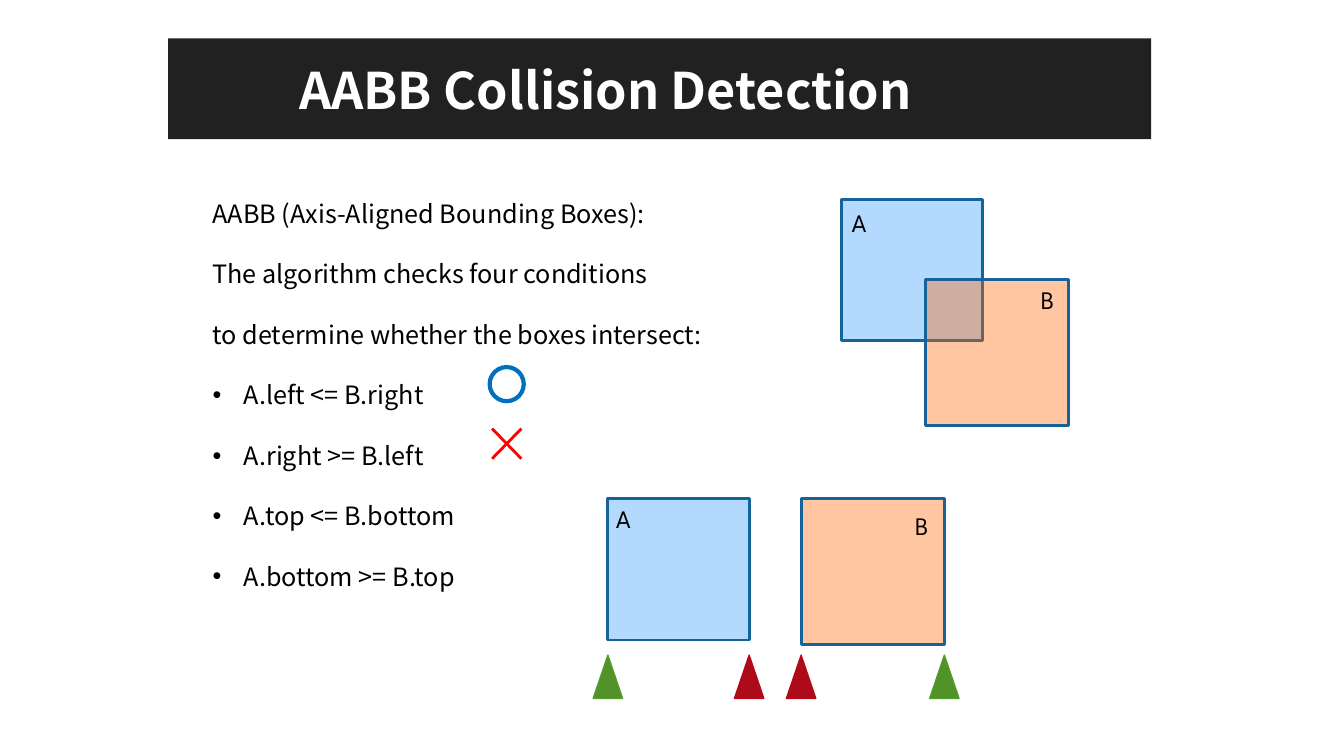
from dataclasses import dataclass

from lxml.etree import SubElement
from pptx import Presentation
from pptx.dml.color import RGBColor
from pptx.enum.shapes import MSO_CONNECTOR, MSO_SHAPE
from pptx.enum.text import MSO_ANCHOR, MSO_AUTO_SIZE, PP_ALIGN
from pptx.oxml.ns import qn
from pptx.util import Cm, Pt


@dataclass(frozen=True)
class Theme:
    body_font: str = "Noto Sans CJK SC"
    label_font: str = "League Spartan"
    title_size: int = 36
    text_size: int = 18
    banner: str = "212121"
    title: str = "FFFFFF"
    text: str = "000000"
    box_a: str = "3399FF"
    box_b: str = "FF6600"
    box_edge: str = "156398"
    box_opacity: int = 37
    outer: str = "519229"
    outer_edge: str = "549C28"
    inner: str = "AD0B1A"
    inner_edge: str = "B90718"
    hit: str = "0070C0"
    miss: str = "FF0000"


THEME = Theme()
BOX_SIZE = {"A": (3.56, 3.56), "B": (3.61, 3.68)}
BOX_FILL = {"A": THEME.box_a, "B": THEME.box_b}
INTRO = [
    ["AABB (Axis-Aligned Bounding Boxes):"],
    ["The algorithm checks four conditions", "to determine whether the boxes intersect:"],
]
CONDITIONS = ["A.left <= B.right", "A.right >= B.left", "A.top <= B.bottom", "A.bottom >= B.top"]


def add_outline(shapes, kind, box, fill=None, edge=None, weight=1, opacity=100):
    """Add a preset shape; box is left, top, width and height in centimetres."""
    shape = shapes.add_shape(kind, *map(Cm, box))
    shape.shadow.inherit = False
    if fill:
        shape.fill.solid()
        shape.fill.fore_color.rgb = RGBColor.from_string(fill)
        if opacity < 100:
            color = shape.fill._xPr.find(qn("a:solidFill"))[0]
            SubElement(color, qn("a:alpha"), val=str(opacity * 1000))
    else:
        shape.fill.background()
    if edge:
        shape.line.color.rgb = RGBColor.from_string(edge)
        shape.line.width = Pt(weight)
    else:
        shape.line.fill.background()
    return shape


def add_run(paragraph, words, font_name, size, color, bold=False):
    run = paragraph.add_run()
    run.text = words
    run.font.name = font_name
    run.font.size = Pt(size)
    run.font.bold = bold
    run.font.color.rgb = RGBColor.from_string(color)


def add_banner(shapes, box):
    banner = add_outline(shapes, MSO_SHAPE.RECTANGLE, box, THEME.banner)
    frame = banner.text_frame
    frame.word_wrap = True
    frame.vertical_anchor = MSO_ANCHOR.MIDDLE
    frame.margin_left, frame.margin_right = Cm(3.3), Cm(0.76)
    heading = frame.paragraphs[0]
    heading.alignment = PP_ALIGN.LEFT
    add_run(heading, "AABB Collision Detection", THEME.body_font,
            THEME.title_size, THEME.title, bold=True)


def add_explanation(shapes, box):
    frame = shapes.add_textbox(*map(Cm, box)).text_frame
    frame.word_wrap = True
    frame.auto_size = MSO_AUTO_SIZE.SHAPE_TO_FIT_TEXT
    entries = [(lines, False) for lines in INTRO] + [([rule], True) for rule in CONDITIONS]
    for index, (lines, bulleted) in enumerate(entries):
        paragraph = frame.add_paragraph() if index else frame.paragraphs[0]
        paragraph.line_spacing = 2.0
        if bulleted:
            properties = paragraph._p.get_or_add_pPr()
            properties.set("marL", str(Cm(0.79)))
            properties.set("indent", str(-Cm(0.79)))
            SubElement(properties, qn("a:buFont"), typeface="Arial")
            SubElement(properties, qn("a:buChar"), char="•")
        for number, line in enumerate(lines):
            if number:
                paragraph.add_line_break()
            add_run(paragraph, line, THEME.body_font, THEME.text_size, THEME.text)


def add_cross(shapes, box):
    left, top, width, height = box
    cross = shapes.add_group_shape().shapes
    for start, end in ((left, left + width), (left + width, left)):
        stroke = cross.add_connector(MSO_CONNECTOR.STRAIGHT, Cm(start), Cm(top + height),
                                     Cm(end), Cm(top))
        stroke.line.color.rgb = RGBColor.from_string(THEME.miss)
        stroke.line.width = Pt(2)
        SubElement(stroke._element.spPr, qn("a:effectLst"))


def add_bounding_box(shapes, name, left, top):
    add_outline(shapes, MSO_SHAPE.RECTANGLE, (left, top, *BOX_SIZE[name]), BOX_FILL[name],
                THEME.box_edge, 2, THEME.box_opacity)


def add_label(shapes, name, left, top):
    width = {"A": 0.99, "B": 0.89}[name]
    frame = shapes.add_textbox(Cm(left), Cm(top), Cm(width), Cm(1.02)).text_frame
    frame.word_wrap = False
    frame.auto_size = MSO_AUTO_SIZE.SHAPE_TO_FIT_TEXT
    add_run(frame.paragraphs[0], name, THEME.label_font, THEME.text_size, THEME.text)


def add_overlapping_boxes(shapes, left, top):
    add_bounding_box(shapes, "A", left, top)
    add_bounding_box(shapes, "B", left + 2.11, top + 2.01)
    add_label(shapes, "A", left, top + 0.08)
    add_label(shapes, "B", left + 4.77, top + 2.01)


def add_marked_box(shapes, name, left, top, label_offset, marker_colors):
    """Add a grouped box whose left and right edges are marked by triangles."""
    group = shapes.add_group_shape().shapes
    add_bounding_box(group, name, left, top)
    add_label(group, name, left + label_offset[0], top + label_offset[1])
    marker_width, marker_height = 0.74, 1.09
    for edge_x, colors in zip((left, left + BOX_SIZE[name][0]), marker_colors):
        marker = (edge_x - marker_width / 2, top + 3.94, marker_width, marker_height)
        add_outline(group, MSO_SHAPE.ISOSCELES_TRIANGLE, marker, *colors)


def add_separate_boxes(shapes, left, top):
    outer = (THEME.outer, THEME.outer_edge)
    inner = (THEME.inner, THEME.inner_edge)
    add_marked_box(shapes, "B", left + 4.87, top, (2.62, 0.16), (inner, outer))
    add_marked_box(shapes, "A", left, top, (-0.05, 0), (outer, inner))


def main():
    deck = Presentation()
    deck.slide_width, deck.slide_height = Cm(33.87), Cm(19.05)
    shapes = deck.slides.add_slide(deck.slide_layouts[6]).shapes
    add_overlapping_boxes(shapes, 21.21, 5.03)
    add_separate_boxes(shapes, 15.32, 12.57)
    add_explanation(shapes, (5.11, 4.11, 13.54, 10.8))
    add_outline(shapes, MSO_SHAPE.OVAL, (12.34, 9.25, 0.86, 0.86), edge=THEME.hit, weight=3)
    add_cross(shapes, (12.4, 10.8, 0.74, 0.76))
    add_banner(shapes, (4.24, 0.97, 24.77, 2.54))
    deck.save("out.pptx")


if __name__ == "__main__":
    main()
